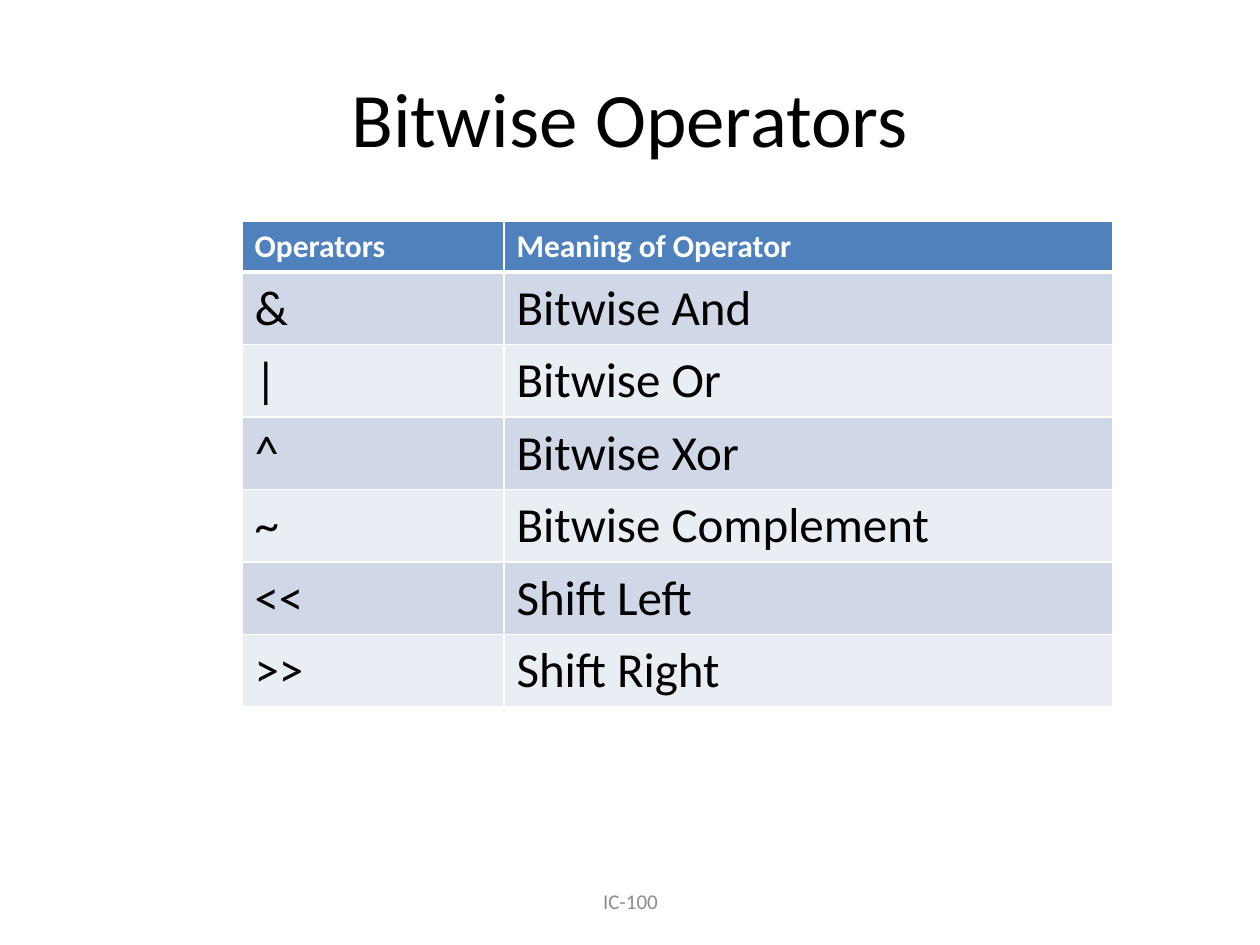
from pptx import Presentation
from pptx import util as u
from pptx.dml.color import RGBColor
from pptx.enum import text
from pptx.oxml import parse_xml
from pptx.oxml.ns import nsdecls

PX = u.Inches(1) / 126


def px(*vals):
    return [u.Emu(round(v * PX)) for v in vals]


def write(frame, words, size, color, bold=False, align=text.PP_ALIGN.LEFT):
    para = frame.paragraphs[0]
    para.alignment = align
    run = para.add_run()
    run.text = words
    run.font.name = "Calibri"
    run.font.size = u.Pt(size)
    run.font.bold = bold
    run.font.color.rgb = RGBColor.from_string(color)


deck = Presentation()
deck.slide_width, deck.slide_height = px(1260, 945)
slide = deck.slides.add_slide(deck.slide_layouts[5])

title = slide.shapes.title
title.left, title.top, title.width, title.height = px(63, 38, 1134, 157)
title.text_frame.vertical_anchor = text.MSO_ANCHOR.MIDDLE
write(title.text_frame, "Bitwise Operators", 44, "000000", align=text.PP_ALIGN.CENTER)

rows = [
    ("Operators", "Meaning of Operator"),
    ("&", "Bitwise And"),
    ("|", "Bitwise Or"),
    ("^", "Bitwise Xor"),
    ("~", "Bitwise Complement"),
    ("<<", "Shift Left"),
    (">>", "Shift Right"),
]
widths = px(262, 609)
head, body = px(51, 72)
bands = ["E9EDF4", "D0D8E8"]

table = slide.shapes.add_table(len(rows), 2, *px(242, 221, 871, 483)).table
for col, width in zip(table.columns, widths):
    col.width = width
for i, row in enumerate(rows):
    top = i == 0
    table.rows[i].height = head if top else body
    for j, words in enumerate(row):
        cell = table.cell(i, j)
        write(cell.text_frame, words, 18 if top else 28,
              "FFFFFF" if top else "000000", bold=top)
        props = cell._tc.get_or_add_tcPr()
        for side in "LRTB":
            thick = (top and side == "B") or (i == 1 and side == "T")
            props.append(parse_xml(
                f'<a:ln{side} {nsdecls("a")} w="{u.Pt(3 if thick else 1)}">'
                f'<a:solidFill><a:srgbClr val="FFFFFF"/></a:solidFill></a:ln{side}>'))
        cell.fill.solid()
        cell.fill.fore_color.rgb = RGBColor.from_string("4F81BD" if top else bands[i % 2])

foot = slide.shapes.add_textbox(*px(431, 876, 399, 50)).text_frame
foot.word_wrap = True
foot.vertical_anchor = text.MSO_ANCHOR.MIDDLE
write(foot, "IC-100", 12, "8C8C8C", align=text.PP_ALIGN.CENTER)

deck.save("out.pptx")
